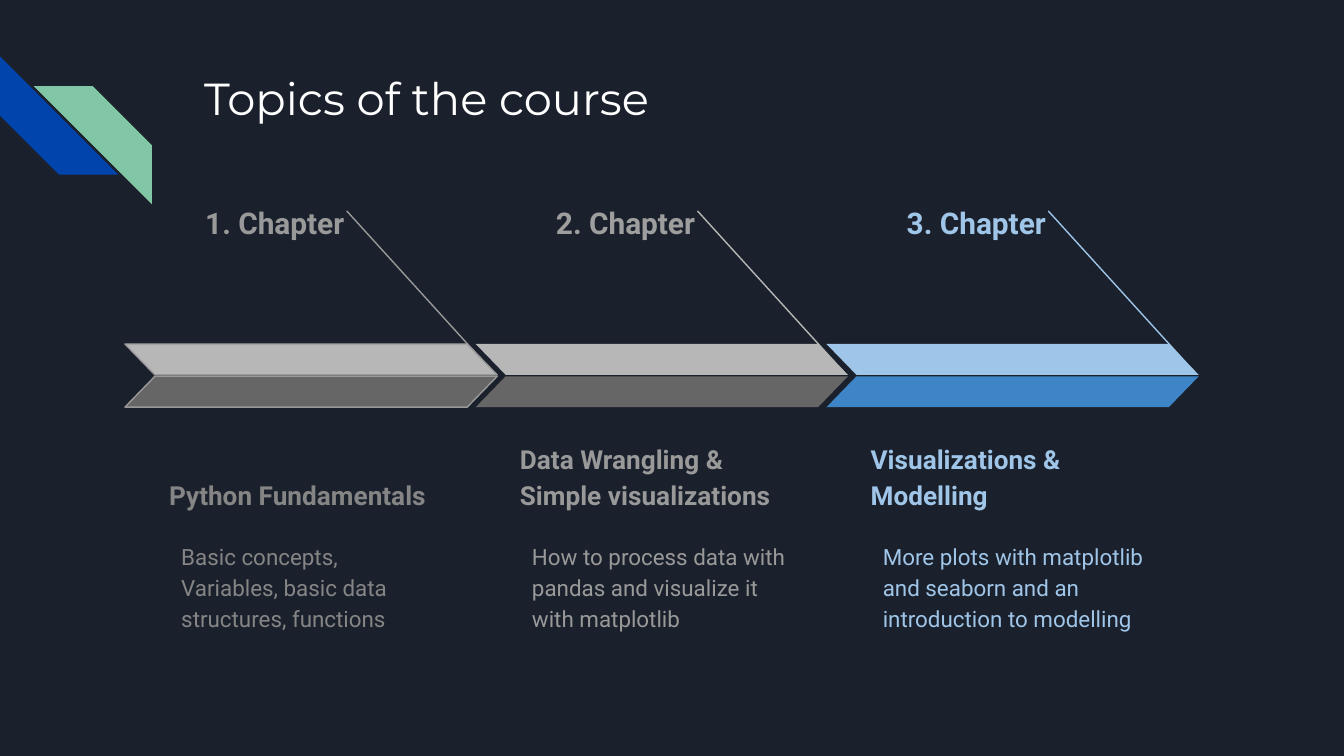
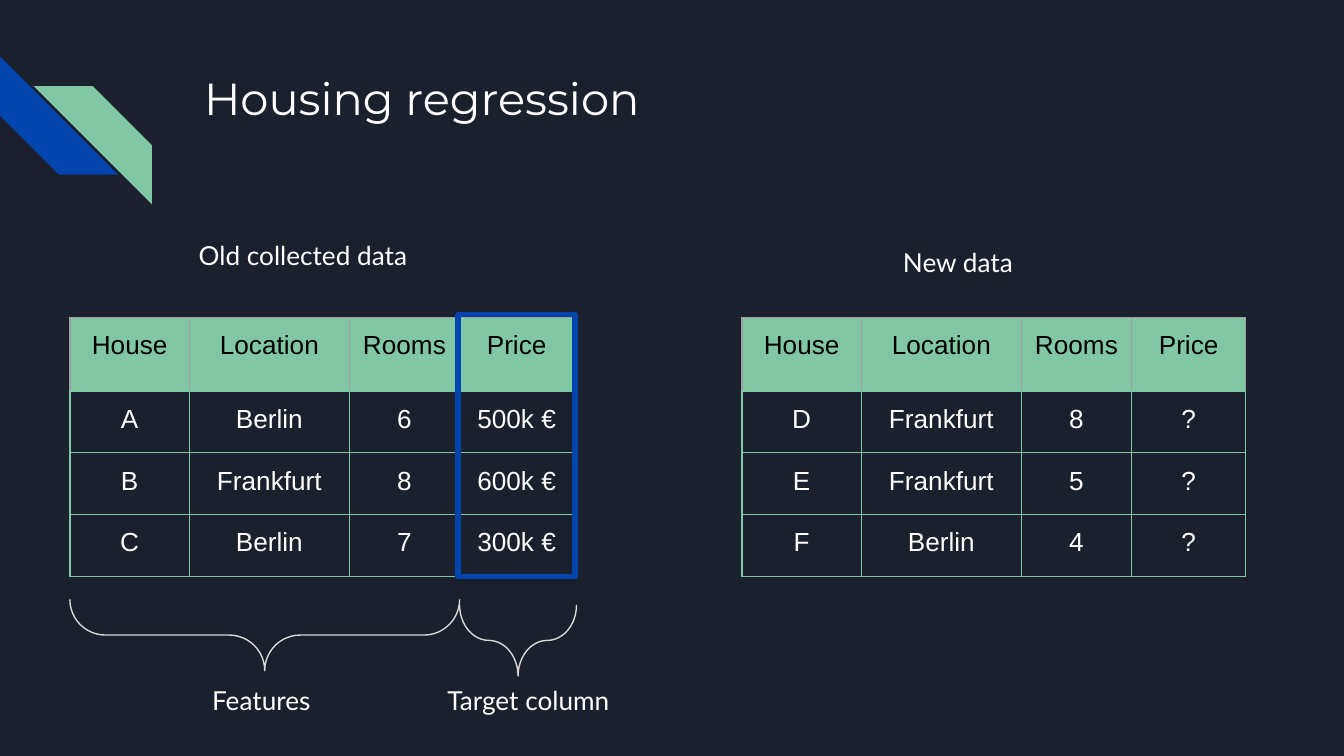
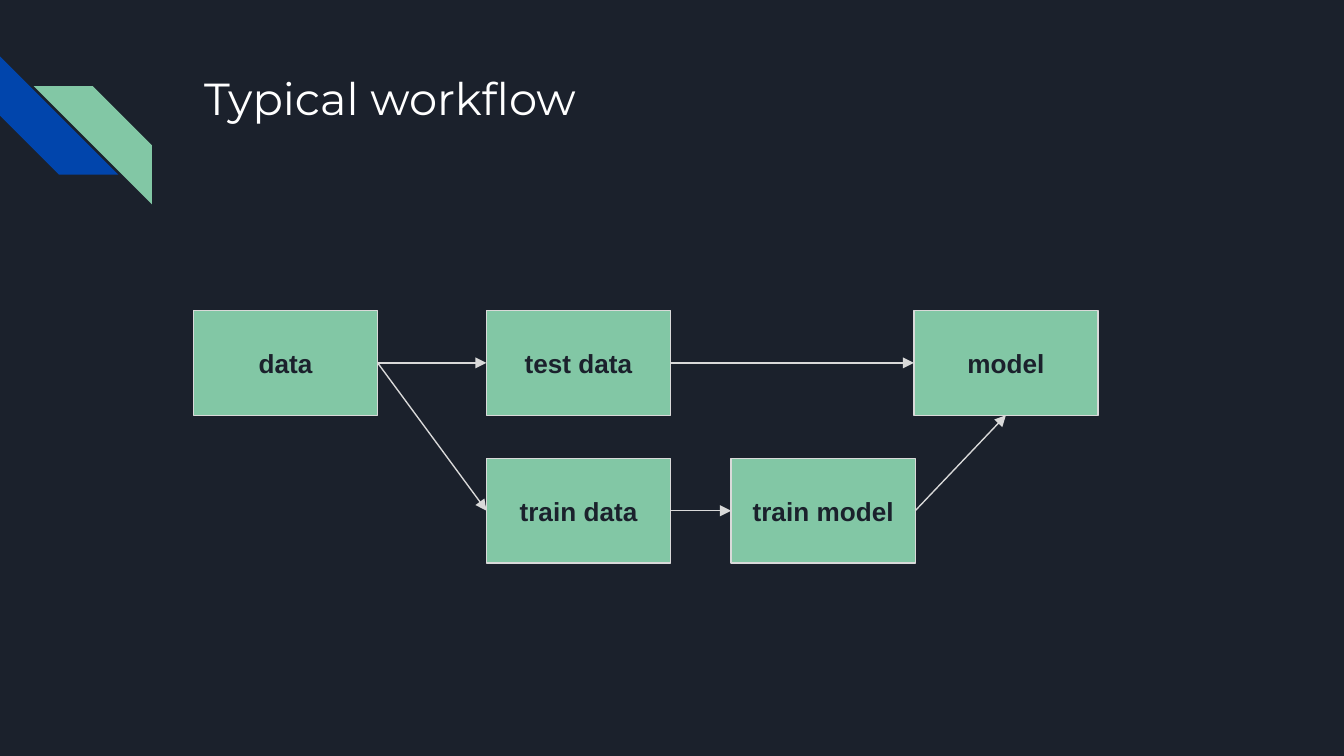
from lxml import etree
from pptx import Presentation
from pptx.dml.color import RGBColor
from pptx.enum import shapes, text
from pptx.oxml import ns
from pptx.util import Inches, Pt

NAVY, BLUE, GREEN = "1B212C", "0145AC", "82C7A5"
WHITE, BLACK, PALE, GREY = "FFFFFF", "000000", "D9D9D9", "9E9E9E"
SKY = "9FC5E8"
SHAPE, ALIGN, ANCHOR = shapes.MSO_SHAPE, text.PP_ALIGN, text.MSO_ANCHOR

CHAPTERS = [
    dict(label="1. Chapter", name="Python Fundamentals",
         note="Basic concepts,\nVariables, basic data structures, functions",
         tint="999999", ink="858585", ray="999999", top="B7B7B7", low="666666",
         edge="999999", wide=1.82),
    dict(label="2. Chapter", name="Data Wrangling & Simple visualizations",
         note="How to process data with pandas and visualize it with matplotlib",
         tint=GREY, ink="999999", ray="B7B7B7", top="B7B7B7", low="666666",
         edge=None, wide=1.35),
    dict(label="3. Chapter", name="Visualizations & Modelling",
         note="More plots with matplotlib and seaborn and an introduction to modelling",
         tint=SKY, ink=SKY, ray=SKY, top=SKY, low="3D85C6",
         edge=None, wide=1.35),
]

HEAD = ["House", "Location", "Rooms", "Price"]
OLD = [["A", "Berlin", "6", "500k €"],
       ["B", "Frankfurt", "8", "600k €"],
       ["C", "Berlin", "7", "300k €"]]
NEW = [["D", "Frankfurt", "8", "?"],
       ["E", "Frankfurt", "5", "?"],
       ["F", "Berlin", "4", "?"]]
COLS, ROWS = [0.89, 1.19, 0.82, 0.85], [0.55, 0.46, 0.46, 0.46]
NOTES = [("Old collected data", 1.38, 1.68, 1.92), ("New data", 6.62, 1.73, 1.92),
         ("Features", 1.48, 4.99, 1.06), ("Target column", 3.23, 4.99, 1.48)]
BRACES = [(0.52, 4.46, 2.9), (3.42, 4.5, 0.87)]

UPPER, LOWER = 2.31, 3.41
STEPS = {"data": (1.44, UPPER), "train data": (3.62, LOWER), "test data": (3.62, UPPER),
         "train model": (5.44, LOWER), "model": (6.8, UPPER)}
TOP, LEFT, BOTTOM, RIGHT = range(4)
FLOWS = [("data", "train data", LEFT), ("data", "test data", LEFT),
         ("train data", "train model", LEFT), ("train model", "model", BOTTOM),
         ("test data", "model", LEFT)]


def rgb(code):
    return RGBColor.from_string(code)


def write(frame, words, size=14, font="Arial", color=WHITE, bold=False,
          align=ALIGN.LEFT, anchor=ANCHOR.TOP, lead=None, after=None):
    frame.word_wrap = True
    frame.vertical_anchor = anchor
    frame.margin_left = frame.margin_right = Inches(0.1)
    frame.margin_top = frame.margin_bottom = Inches(0.1)
    para = frame.paragraphs[0]
    para.text = words
    para.alignment = align
    if lead:
        para.line_spacing = lead
    if after:
        para.space_after = Pt(after)
    for run in para.runs:
        run.font.size, run.font.name, run.font.bold = Pt(size), font, bold
        run.font.color.rgb = rgb(color)


def label(slide, words, x, y, w, h, **look):
    box = slide.shapes.add_textbox(Inches(x), Inches(y), Inches(w), Inches(h))
    write(box.text_frame, words, **look)


def draw(slide, kind, x, y, w, h, fill=None, line=None, width=0.75,
         adj=(), turn=0, flip=False):
    shape = slide.shapes.add_shape(kind, Inches(x), Inches(y), Inches(w), Inches(h))
    shape.shadow.inherit = False
    if fill:
        shape.fill.solid()
        shape.fill.fore_color.rgb = rgb(fill)
    else:
        shape.fill.background()
    if line:
        shape.line.color.rgb = rgb(line)
        shape.line.width = Pt(width)
    else:
        shape.line.fill.background()
    for i, value in enumerate(adj):
        shape.adjustments[i] = value
    shape.rotation = turn
    if flip:
        shape.element.spPr.find(ns.qn("a:xfrm")).set("flipH", "1")
    return shape


def link(slide, color, start=(0, 0), end=(0, 0), arrow=False):
    points = [Inches(v) for v in (*start, *end)]
    wire = slide.shapes.add_connector(shapes.MSO_CONNECTOR.STRAIGHT, *points)
    wire.line.color.rgb = rgb(color)
    wire.line.width = Pt(0.75)
    props = wire.element.spPr
    if arrow:
        etree.SubElement(props.find(ns.qn("a:ln")), ns.qn("a:tailEnd"), type="triangle")
    etree.SubElement(props, ns.qn("a:effectLst"))
    return wire


def page(deck, title):
    """Add a slide with the corner stripes and its title."""
    slide = deck.slides.add_slide(deck.slide_layouts[6])
    draw(slide, SHAPE.DIAGONAL_STRIPE, 0, 0.42, 0.88, 0.88, BLUE, adj=[0.5], turn=270)
    draw(slide, SHAPE.DIAGONAL_STRIPE, 0.25, 0.64, 0.88, 0.88, GREEN, adj=[0.5], flip=True)
    label(slide, title, 1.42, 0.43, 7.7, 1, size=24, font="Montserrat")
    return slide


def topics(deck):
    slide = page(deck, "Topics of the course")
    for i, part in enumerate(CHAPTERS):
        x = 0.93 + i * 2.61
        label(slide, part["label"], x + 1.73 - part["wide"], 1.38, part["wide"], 0.39,
              size=16, font="Roboto", color=part["tint"], bold=True,
              align=ALIGN.RIGHT, lead=1.15, after=16)
        label(slide, part["name"], x + 0.23, 3.18, 2.27, 0.72, font="Roboto",
              color=part["ink"], bold=True, anchor=ANCHOR.BOTTOM, lead=1.15)
        label(slide, part["note"], x + 0.32, 3.91, 2.21, 0.87, size=12,
              font="Roboto", color=part["ink"], lead=1.15, after=16)
        link(slide, part["ray"], (x + 1.65, 1.57), (x + 2.74, 2.77))
        for y, side, flip in ((2.56, "top", True), (2.8, "low", False)):
            draw(slide, SHAPE.PARALLELOGRAM, x, y, 2.77, 0.23, part[side],
                 part["edge"], adj=[0.97], flip=flip)


def edge(cell, side, color):
    line = etree.SubElement(cell._tc.get_or_add_tcPr(), ns.qn("a:ln" + side),
                            w=str(Pt(0.75)))
    fill = etree.SubElement(line, ns.qn("a:solidFill"))
    etree.SubElement(fill, ns.qn("a:srgbClr"), val=color)


def grid(slide, x, rows):
    frame = slide.shapes.add_table(len(ROWS), len(COLS), Inches(x), Inches(2.36),
                                   Inches(sum(COLS)), Inches(sum(ROWS)))
    table = frame.table
    table.first_row = table.horz_banding = False
    for col, width in zip(table.columns, COLS):
        col.width = Inches(width)
    for r, (words, height) in enumerate(zip([HEAD] + rows, ROWS)):
        table.rows[r].height = Inches(height)
        for c, word in enumerate(words):
            cell = table.cell(r, c)
            for side in "LRTB":
                edge(cell, side, GREY if r == 0 and side != "B" else GREEN)
            if r == 0:
                cell.fill.solid()
                cell.fill.fore_color.rgb = rgb(GREEN)
            else:
                cell.fill.background()
            cell.margin_left = cell.margin_right = Inches(0.1)
            cell.margin_top = cell.margin_bottom = Inches(0.1)
            write(cell.text_frame, word, color=WHITE if r else BLACK, align=ALIGN.CENTER)


def brace(slide, x, y, span, depth=0.53):
    """Draw a brace that opens upward; x, y is its visible top left corner."""
    shift = (span - depth) / 2
    draw(slide, SHAPE.LEFT_BRACE, x + shift, y - shift, depth, span,
         line=PALE, adj=[0.5, 0.5], turn=270)


def housing(deck):
    slide = page(deck, "Housing regression")
    grid(slide, 0.52, OLD)
    grid(slide, 5.52, NEW)
    draw(slide, SHAPE.RECTANGLE, 3.41, 2.34, 0.87, 1.95, line=BLUE, width=3)
    for spot in BRACES:
        brace(slide, *spot)
    for words, x, y, w in NOTES:
        label(slide, words, x, y, w, 0.44, font="Lato")


def workflow(deck):
    slide = page(deck, "Typical workflow")
    boxes = {}
    for name, (x, y) in STEPS.items():
        boxes[name] = draw(slide, SHAPE.RECTANGLE, x, y, 1.37, 0.78, GREEN, PALE)
        write(boxes[name].text_frame, name, color=NAVY, bold=True,
              align=ALIGN.CENTER, anchor=ANCHOR.MIDDLE)
    for start, end, side in FLOWS:
        wire = link(slide, PALE, arrow=True)
        wire.begin_connect(boxes[start], RIGHT)
        wire.end_connect(boxes[end], side)


def main():
    deck = Presentation()
    deck.slide_width, deck.slide_height = Inches(10), Inches(5.625)
    back = deck.slide_master.background.fill
    back.solid()
    back.fore_color.rgb = rgb(NAVY)
    topics(deck)
    housing(deck)
    workflow(deck)
    deck.save("out.pptx")


if __name__ == "__main__":
    main()
